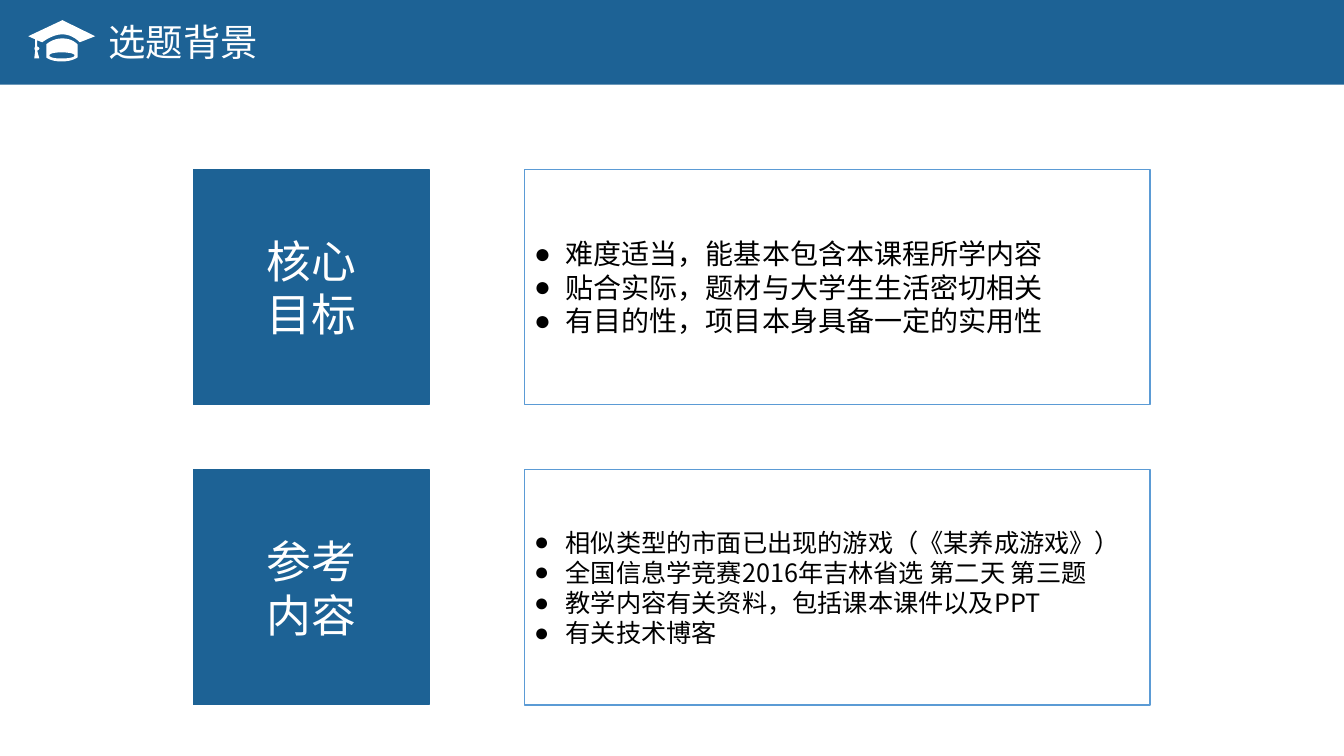
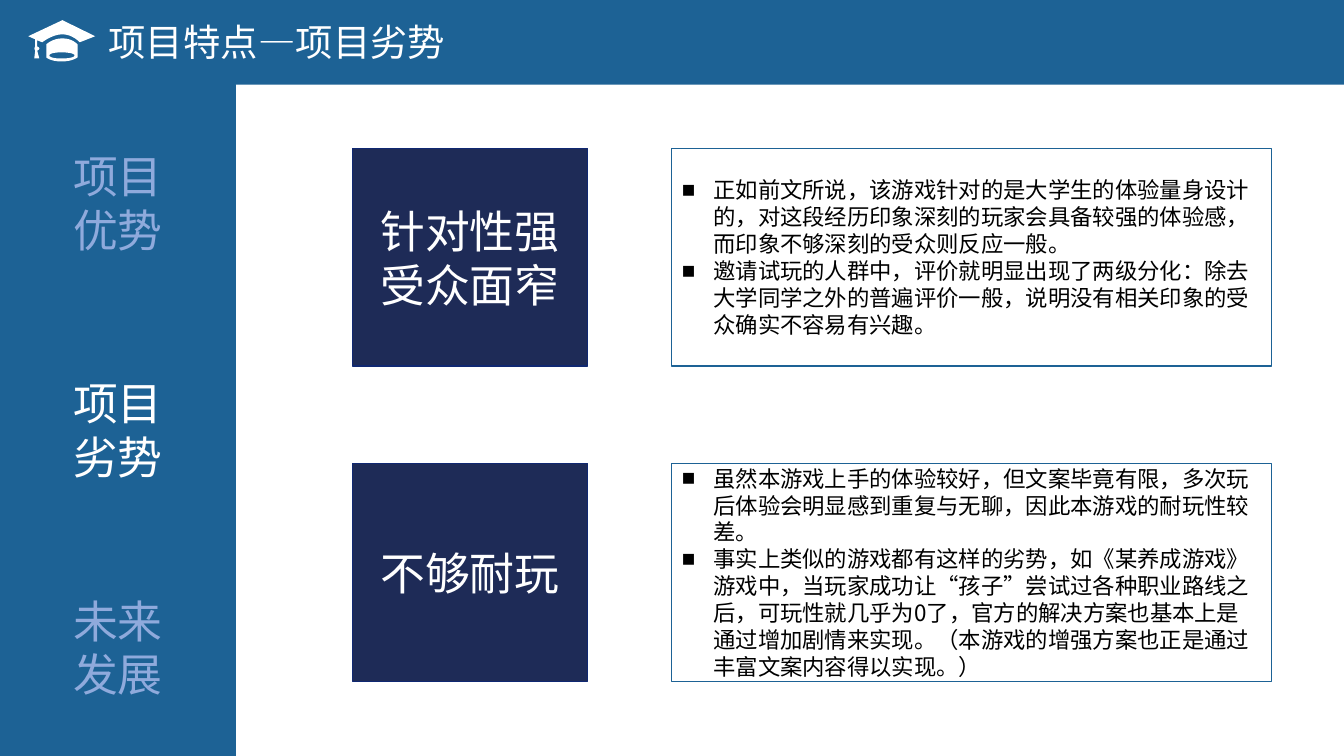
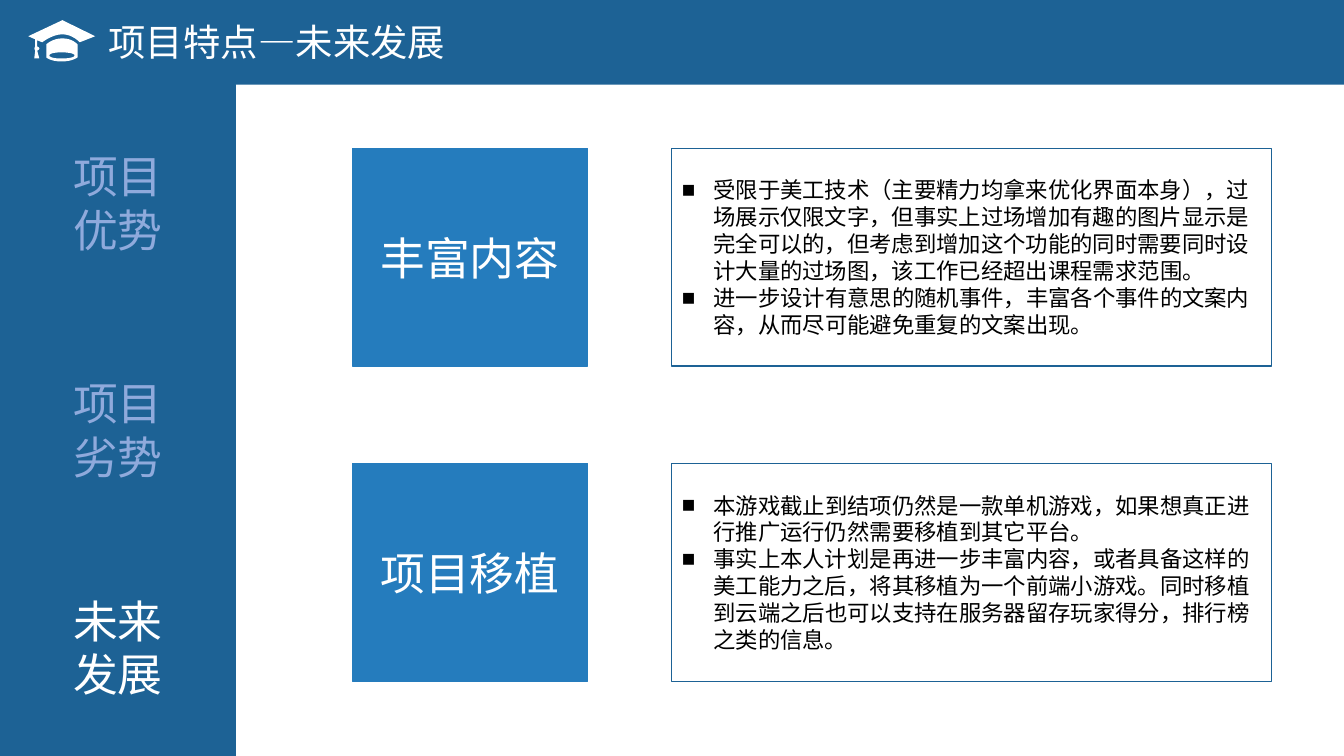
"""Build three slides about a course project: its background, weak points and future."""
import lxml.etree
import pptx
import pptx.dml.color
import pptx.enum.shapes
import pptx.enum.text
import pptx.oxml.ns
import pptx.util

Pt = pptx.util.Pt
RGBColor = pptx.dml.color.RGBColor
Align = pptx.enum.text.PP_ALIGN
Anchor = pptx.enum.text.MSO_ANCHOR
RECT = pptx.enum.shapes.MSO_SHAPE.RECTANGLE
qn = pptx.oxml.ns.qn

FONT = "Noto Sans CJK SC"
BLUE = RGBColor(0x1D, 0x62, 0x95)
SKY = RGBColor(0x5B, 0x9B, 0xD5)
NAVY = RGBColor(0x1E, 0x2B, 0x57)
INDIGO = RGBColor(0x10, 0x28, 0x72)
BRIGHT = RGBColor(0x25, 0x7C, 0xBD)
PALE = RGBColor(0x8F, 0xAA, 0xDC)
WHITE = RGBColor(0xFF, 0xFF, 0xFF)
BLACK = RGBColor(0, 0, 0)

WIDTH, HEIGHT = 960, 540
BAND = 60.5
SIDE = 168.5
INDENT = 22.5
TABS = ("项目\n优势", "项目\n劣势", "未来\n发展")
TAB_TOPS = (BAND, 229, 384.5, HEIGHT)

CAP = (
    ((57, 30.2), (57, 30.2, 51.8, 24.5, 44.6, 24.5), (37.4, 24.5, 30.2, 30.2, 30.2, 30.2),
     (26.6, 28.8), (26.6, 33.1), (27.4, 33.8, 28.1, 33.8, 28.1, 34.6),
     (28.1, 35.3, 27.4, 36, 26.6, 36), (28.1, 41.8), (24.5, 41.8), (25.2, 36),
     (24.5, 35.5, 24.5, 34, 25.2, 33.1), (25.2, 28.1), (20.2, 25.9), (44.6, 14.4), (68, 25.9)),
    ((44.6, 27.4), (51.8, 27.4, 55.4, 31.7, 55.4, 31.7), (55.4, 41),
     (55.4, 41, 51.8, 43.9, 44, 43.9), (36, 43.9, 33.1, 41, 33.1, 41), (33.1, 31.7),
     (33.1, 31.7, 37.4, 27.4, 44.6, 27.4)),
    ((44, 41.8), (49, 41.8, 53.3, 41, 53.3, 39.6), (53.3, 38.2, 49, 37.4, 44, 37.4),
     (38.9, 37.4, 35.3, 38.2, 35.3, 39.6), (35.3, 41, 38.9, 41.8, 44, 41.8)),
)


def trace(loop, steps=8):
    """Turn a loop of points and cubic curves into plain points."""
    dots = [loop[0]]
    for part in loop[1:]:
        if len(part) == 2:
            dots.append(part)
            continue
        knots = (dots[-1], part[:2], part[2:4], part[4:])
        for step in range(1, steps + 1):
            t = step / steps
            mix = ((1 - t) ** 3, 3 * t * (1 - t) ** 2, 3 * t * t * (1 - t), t ** 3)
            dots.append(tuple(sum(m * k[axis] for m, k in zip(mix, knots)) for axis in (0, 1)))
    return [(Pt(x), Pt(y)) for x, y in dots]


def write(frame, text, size, color=BLACK, align=Align.LEFT, bullet=None, wrap=False,
          anchor=Anchor.MIDDLE):
    """Fill a text frame, one paragraph for each line of text."""
    frame.word_wrap = wrap
    frame.vertical_anchor = anchor
    for n, line in enumerate(text.split("\n")):
        para = frame.add_paragraph() if n else frame.paragraphs[0]
        para.alignment = align
        run = para.add_run()
        run.text = line
        run.font.size = Pt(size)
        run.font.name = FONT
        run.font.color.rgb = color
        lxml.etree.SubElement(run.font._element, qn("a:ea"), typeface=FONT)
        if bullet:
            props = para._p.get_or_add_pPr()
            props.set("marL", str(Pt(INDENT)))
            props.set("indent", str(-Pt(INDENT)))
            lxml.etree.SubElement(props, qn("a:buFont"), typeface="Arial")
            lxml.etree.SubElement(props, qn("a:buChar"), char=bullet)


class Deck:
    """Hold the shared style and the current slide."""

    def __init__(self):
        self.show = pptx.Presentation()
        self.show.slide_width, self.show.slide_height = Pt(WIDTH), Pt(HEIGHT)
        self.slide = None

    def start(self, title):
        """Add a slide with its band, title and cap."""
        self.slide = self.show.slides.add_slide(self.show.slide_layouts[6])
        self.box(0, 0, WIDTH, BAND, fill=BLUE)
        head = self.slide.shapes.add_textbox(Pt(70.5), Pt(10), Pt(304), Pt(39.5))
        write(head.text_frame, title, 26.7, WHITE, wrap=True, anchor=Anchor.TOP)
        self.cap()

    def box(self, left, top, width, height, fill=None, line=None, weight=0.75):
        """Add a plain rectangle."""
        shape = self.slide.shapes.add_shape(RECT, Pt(left), Pt(top), Pt(width), Pt(height))
        self.paint(shape, fill, line, weight)
        return shape

    def paint(self, shape, fill, line=None, weight=0.75):
        """Set fill and line, with no shadow."""
        shape.shadow.inherit = False
        if fill is None:
            shape.fill.background()
        else:
            shape.fill.solid()
            shape.fill.fore_color.rgb = fill
        if line is None:
            shape.line.fill.background()
        else:
            shape.line.color.rgb = line
            shape.line.width = Pt(weight)

    def cap(self):
        """Draw the graduation cap."""
        first, *rest = [trace(loop) for loop in CAP]
        pen = self.slide.shapes.build_freeform(*first[0], scale=1.0)
        pen.add_line_segments(first[1:], close=True)
        for dots in rest:
            pen.move_to(*dots[0])
            pen.add_line_segments(dots[1:], close=True)
        self.paint(pen.convert_to_shape(), WHITE)

    def label(self, text, left, top, height, fill=BLUE, line=BLUE, color=WHITE):
        """Add a filled block with large centred text."""
        shape = self.box(left, top, SIDE, height, fill, line)
        write(shape.text_frame, text, 32, color, Align.CENTER)

    def points(self, text, left, top, width, height, size, bullet, line, weight=0.75):
        """Add a framed list of points."""
        shape = self.box(left, top, width, height, None, line, weight)
        write(shape.text_frame, text, size, bullet=bullet, wrap=True)

    def tabs(self, active):
        """Add the side column with one tab lit."""
        for n, text in enumerate(TABS):
            top, end = TAB_TOPS[n:n + 2]
            self.label(text, 0, top, end - top, color=WHITE if n == active else PALE)

    def trait(self, active, title, fill, line, rows):
        """Add a whole slide on one trait of the project."""
        self.start(title)
        self.tabs(active)
        for n, (name, text) in enumerate(rows):
            top = 106 + 225 * n
            self.label(name, 251.5, top, 155.5, fill, line)
            self.points(text, 480, top, 428, 155.5, 16, "■", BLUE)


def main():
    deck = Deck()
    deck.start("选题背景")
    goals = (
        ("核心\n目标", 20,
         "难度适当，能基本包含本课程所学内容\n"
         "贴合实际，题材与大学生生活密切相关\n"
         "有目的性，项目本身具备一定的实用性"),
        ("参考\n内容", 18,
         "相似类型的市面已出现的游戏（《某养成游戏》）\n"
         "全国信息学竞赛2016年吉林省选 第二天 第三题\n"
         "教学内容有关资料，包括课本课件以及PPT\n"
         "有关技术博客"),
    )
    for n, (name, size, text) in enumerate(goals):
        top = 121 + 214.5 * n
        deck.label(name, 138, top, 168)
        deck.points(text, 374.5, top, 447, 168, size, "●", SKY, 1)

    deck.trait(1, "项目特点—项目劣势", NAVY, INDIGO, (
        ("针对性强\n受众面窄",
         "正如前文所说，该游戏针对的是大学生的体验量身设计的，对这段经历印象深刻的玩家会具备较强的体验感，"
         "而印象不够深刻的受众则反应一般。\n"
         "邀请试玩的人群中，评价就明显出现了两级分化：除去大学同学之外的普遍评价一般，"
         "说明没有相关印象的受众确实不容易有兴趣。"),
        ("不够耐玩",
         "虽然本游戏上手的体验较好，但文案毕竟有限，多次玩后体验会明显感到重复与无聊，"
         "因此本游戏的耐玩性较差。\n"
         "事实上类似的游戏都有这样的劣势，如《某养成游戏》游戏中，当玩家成功让“孩子”尝试过各种职业路线之后，"
         "可玩性就几乎为0了，官方的解决方案也基本上是通过增加剧情来实现。"
         "（本游戏的增强方案也正是通过丰富文案内容得以实现。）"),
    ))
    deck.trait(2, "项目特点—未来发展", BRIGHT, BRIGHT, (
        ("丰富内容",
         "受限于美工技术（主要精力均拿来优化界面本身），过场展示仅限文字，"
         "但事实上过场增加有趣的图片显示是完全可以的，但考虑到增加这个功能的同时需要同时设计大量的过场图，"
         "该工作已经超出课程需求范围。\n"
         "进一步设计有意思的随机事件，丰富各个事件的文案内容，从而尽可能避免重复的文案出现。"),
        ("项目移植",
         "本游戏截止到结项仍然是一款单机游戏，如果想真正进行推广运行仍然需要移植到其它平台。\n"
         "事实上本人计划是再进一步丰富内容，或者具备这样的美工能力之后，将其移植为一个前端小游戏。"
         "同时移植到云端之后也可以支持在服务器留存玩家得分，排行榜之类的信息。"),
    ))
    deck.show.save("out.pptx")


if __name__ == "__main__":
    main()
